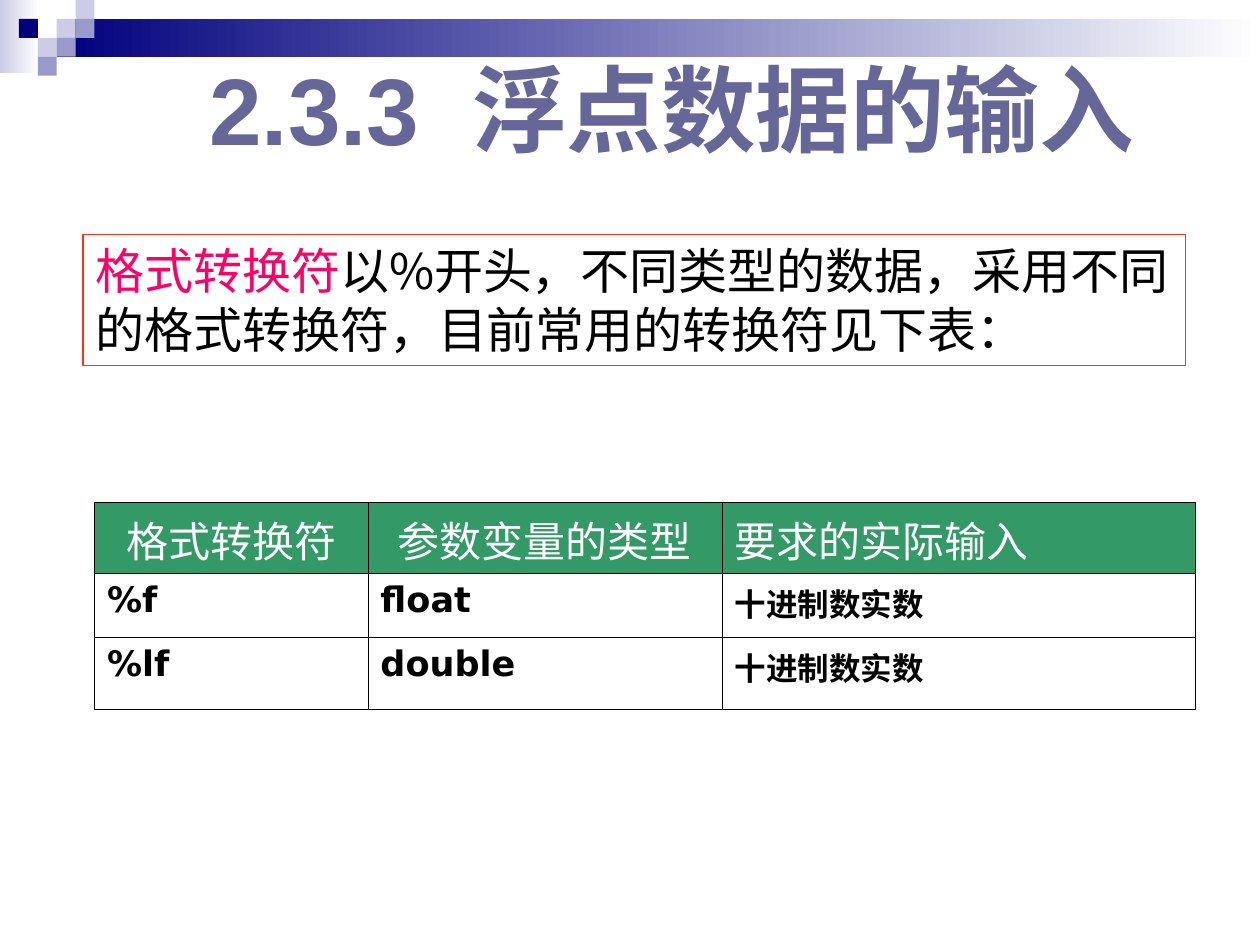
from lxml import etree
from pptx import Presentation
from pptx.dml.color import RGBColor
from pptx.enum.shapes import MSO_SHAPE
from pptx.enum.text import MSO_ANCHOR, PP_ALIGN
from pptx.oxml.ns import qn
from pptx.util import Inches, Pt

RECTANGLE = MSO_SHAPE.RECTANGLE
MIDDLE, TOP = MSO_ANCHOR.MIDDLE, MSO_ANCHOR.TOP
LEFT, CENTER = PP_ALIGN.LEFT, PP_ALIGN.CENTER
CJK_FONT = "Noto Sans CJK SC"
NAVY, LILAC, VIOLET, WHITE = "00007D", "CCCCE6", "9999CC", "FFFFFF"
color = RGBColor.from_string


def add_span(para, text, hex_color, **formats):
    """Add a run, with one font for Latin and one for Chinese characters."""
    span = para.add_run()
    span.text = text
    for name, value in formats.items():
        setattr(span.font, name, value)
    span.font.color.rgb = color(hex_color)
    latin = span.font._element.find(qn("a:latin"))
    east_asian = etree.Element(qn("a:ea"), typeface=CJK_FONT)
    latin.addnext(east_asian)


def add_rectangle(page, left, top, width, height):
    box = page.shapes.add_shape(
        RECTANGLE, Inches(left), Inches(top), Inches(width), Inches(height))
    box.shadow.inherit = False
    box.line.fill.background()
    return box


deck = Presentation()
deck.slide_width, deck.slide_height = Inches(10), Inches(7.5)
page = deck.slides.add_slide(deck.slide_layouts[6])

# Header bands and the mosaic of small squares
bands = [(0, 0, 0.31, 0.58, LILAC), (0.45, 0.15, 9.55, 0.3, NAVY)]
for left, top, width, height, start in bands:
    band = add_rectangle(page, left, top, width, height)
    band.fill.gradient()
    band.fill.gradient_angle = 0
    for stop, hex_color in zip(band.fill.gradient_stops, (start, WHITE)):
        stop.color.rgb = color(hex_color)

SQUARE = 0.15
squares = [(3, 1, LILAC), (4, 0, LILAC), (4, 1, VIOLET), (2, 2, LILAC),
           (1, 1, NAVY), (3, 2, VIOLET), (2, 3, VIOLET)]
for column, row, hex_color in squares:
    square = add_rectangle(page, column * SQUARE, row * SQUARE, SQUARE, SQUARE)
    square.fill.solid()
    square.fill.fore_color.rgb = color(hex_color)

# Title
title = page.shapes.add_textbox(Inches(0.66), Inches(0.52), Inches(9.34), Inches(0.67))
title.text_frame.word_wrap = True
title.text_frame.vertical_anchor = MIDDLE
para = title.text_frame.paragraphs[0]
para.alignment = CENTER
add_span(para, "2.3.3  浮点数据的输入", "666699", name="Arial", size=Pt(54), bold=True)

# Table of conversion specifiers
rows = [("格式转换符", "参数变量的类型", "要求的实际输入"),
        ("%f", "float", "十进制数实数"),
        ("%lf", "double", "十进制数实数")]
table = page.shapes.add_table(
    3, 3, Inches(0.75), Inches(3.99), Inches(8.74), Inches(1.64)).table
for column, width in zip(table.columns, (2.17, 2.81, 3.76)):
    column.width = Inches(width)
for row, height in zip(table.rows, (0.56, 0.51, 0.57)):
    row.height = Inches(height)

for row_index, texts in enumerate(rows):
    for column_index, text in enumerate(texts):
        cell = table.cell(row_index, column_index)
        properties = cell._tc.get_or_add_tcPr()
        for side in ("a:lnL", "a:lnR", "a:lnT", "a:lnB"):
            border = etree.SubElement(properties, qn(side), w=str(Pt(0.45)))
            fill = etree.SubElement(border, qn("a:solidFill"))
            etree.SubElement(fill, qn("a:srgbClr"), val="000000")
        para = cell.text_frame.paragraphs[0]
        last_column = column_index == 2
        if row_index == 0:
            cell.fill.solid()
            cell.fill.fore_color.rgb = color("339966")
            para.alignment = LEFT if last_column else CENTER
            add_span(para, text, WHITE, name="DejaVu Sans", size=Pt(24), bold=False)
        else:
            cell.fill.background()
            add_span(para, text, "000000", name="DejaVu Sans",
                     size=Pt(18 if last_column else 20), bold=True)

# Framed explanation
note = add_rectangle(page, 0.66, 1.86, 8.75, 1.04)
note.fill.background()
note.line.color.rgb = color("FE301A")
note.line.width = Pt(0.75)
note.text_frame.word_wrap = True
note.text_frame.vertical_anchor = TOP
para = note.text_frame.paragraphs[0]
para.alignment = LEFT
para.line_spacing = Pt(33.75)
for text, hex_color in (
        ("格式转换符", "FF0066"),
        ("以%开头，不同类型的数据，采用不同的格式转换符，目前常用的转换符见下表：", "000000")):
    add_span(para, text, hex_color, name=CJK_FONT, size=Pt(28))

deck.save("out.pptx")
